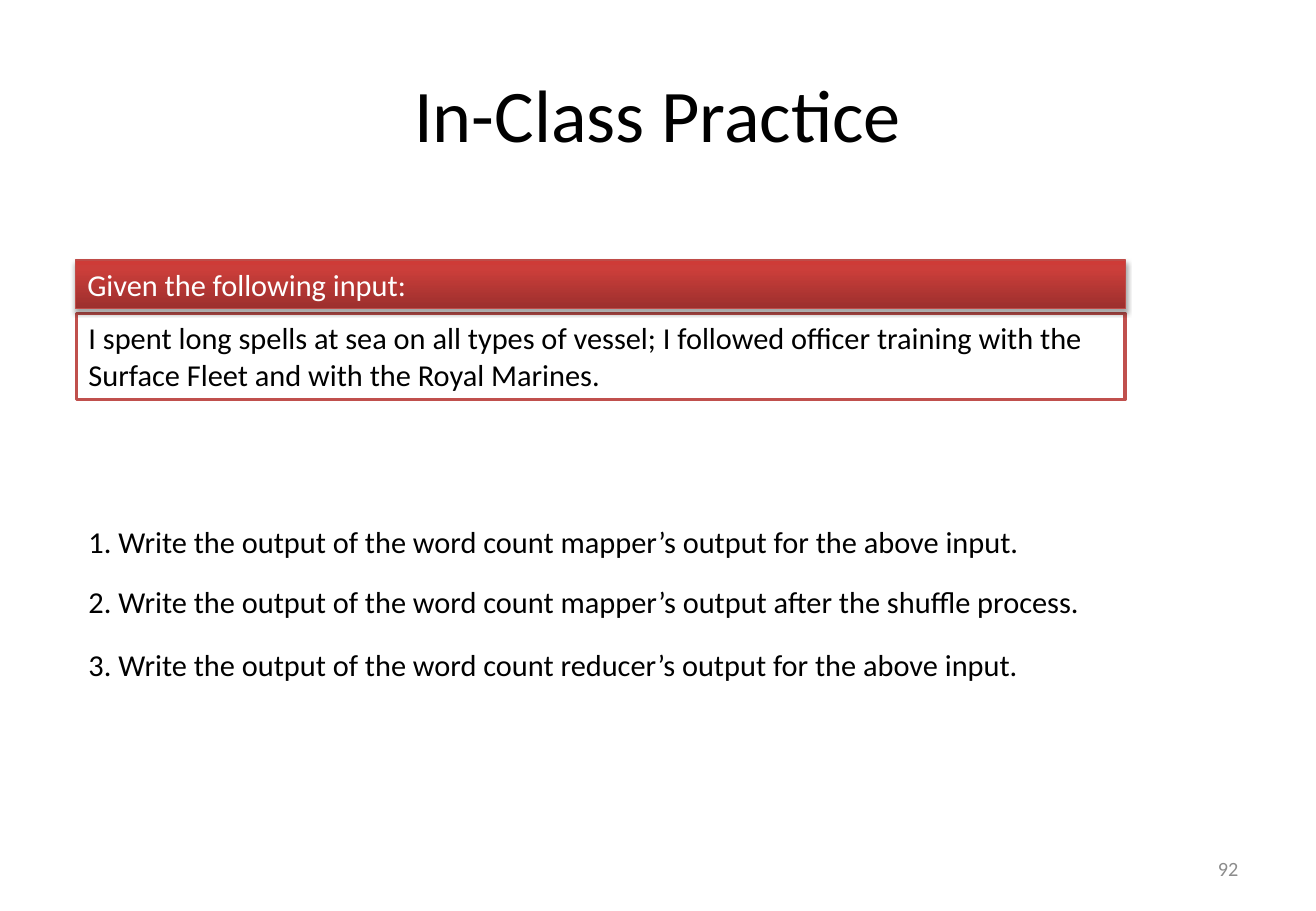
"""Build the in-class practice slide on word count."""
from copy import deepcopy

from lxml import etree
from pptx import Presentation
from pptx.dml.color import RGBColor
from pptx.enum import shapes, text
from pptx.oxml import ns
from pptx.util import Inches, Pt

COLOURS = {
    "ink": "000000", "paper": "FFFFFF", "number": "8C8C8C",
    "frame": "C0504D", "banner_line": "BF4C48",
    "banner_low": "9C2F2D", "banner_mid": "CB3E3A", "banner_top": "CE3B37",
}
QUESTIONS = [
    (4.26, "1. Write the output of the word count mapper’s output for the above input."),
    (4.75, "2. Write the output of the word count mapper’s output after the shuffle process."),
    (5.27, "3. Write the output of the word count reducer’s output for the above input."),
]


def colour(name):
    """Return the named colour."""
    return RGBColor.from_string(COLOURS[name])


def write(shape, words, size=18, ink="ink", align=text.PP_ALIGN.LEFT,
          anchor=text.MSO_ANCHOR.TOP, wrap=True):
    """Put formatted words into a shape."""
    frame = shape.text_frame
    frame.auto_size = text.MSO_AUTO_SIZE.NONE
    frame.word_wrap = wrap
    frame.vertical_anchor = anchor
    para = frame.paragraphs[0]
    para.alignment = align
    span = para.add_run()
    span.text = words
    span.font.size = Pt(size)
    span.font.name = "Calibri"
    span.font.color.rgb = colour(ink)


def add_label(page, left, top, width, height, words, **style):
    """Add a text box."""
    box = page.shapes.add_textbox(Inches(left), Inches(top), Inches(width), Inches(height))
    write(box, words, **style)


def add_panel(page, left, top, width, height, words, line, weight, **style):
    """Add an outlined rectangle with a paper fill and return it."""
    panel = page.shapes.add_shape(shapes.MSO_SHAPE.RECTANGLE, Inches(left), Inches(top),
                                  Inches(width), Inches(height))
    panel.shadow.inherit = False
    panel.fill.solid()
    panel.fill.fore_color.rgb = colour("paper")
    panel.line.color.rgb = colour(line)
    panel.line.width = Pt(weight)
    write(panel, words, **style)
    return panel


def shade(shape, stops, angle):
    """Fill a shape with a linear gradient of (position, colour) stops."""
    shape.fill.gradient()
    shape.fill.gradient_angle = angle
    stop_list = shape.element.spPr.find(".//" + ns.qn("a:gsLst"))
    while len(stop_list) < len(stops):
        stop_list.append(deepcopy(stop_list[0]))
    for stop, (position, name) in zip(shape.fill.gradient_stops, stops):
        stop.position = position
        stop.color.rgb = colour(name)


def cast_shadow(shape, blur, distance, opacity):
    """Give a shape a soft shadow straight below it."""
    effects = shape.element.spPr.find(ns.qn("a:effectLst"))
    shadow = etree.SubElement(effects, ns.qn("a:outerShdw"), blurRad=str(Pt(blur)),
                              dist=str(Pt(distance)), dir="5400000", rotWithShape="0")
    tone = etree.SubElement(shadow, ns.qn("a:srgbClr"), val=COLOURS["ink"])
    etree.SubElement(tone, ns.qn("a:alpha"), val=str(opacity * 1000))


def add_title(page, words):
    """Place and fill the title placeholder."""
    title = page.shapes.title
    title.left, title.top = Inches(0.54), Inches(0.3)
    title.width, title.height = Inches(9.75), Inches(1.25)
    write(title, words, size=44, align=text.PP_ALIGN.CENTER, anchor=text.MSO_ANCHOR.MIDDLE)


def main():
    """Build and save the deck."""
    deck = Presentation()
    deck.slide_width, deck.slide_height = Inches(10.83), Inches(7.5)
    page = deck.slides.add_slide(deck.slide_layouts[5])
    add_title(page, "In-Class Practice")
    add_panel(page, 0.63, 2.58, 8.63, 0.71,
              "I spent long spells at sea on all types of vessel; I followed officer "
              "training with the Surface Fleet and with the Royal Marines.",
              line="frame", weight=2)
    banner = add_panel(page, 0.62, 2.14, 8.64, 0.4, "Given the following input:",
                       line="banner_line", weight=0.75, ink="paper")
    shade(banner, [(0, "banner_low"), (0.8, "banner_mid"), (1, "banner_top")], angle=90)
    cast_shadow(banner, blur=3.1, distance=1.8, opacity=35)
    for top, question in QUESTIONS:
        add_label(page, 0.63, top, 8.47, 0.4, question, wrap=False)
    add_label(page, 7.76, 6.95, 2.53, 0.4, "92", size=12, ink="number",
              align=text.PP_ALIGN.RIGHT, anchor=text.MSO_ANCHOR.MIDDLE)
    deck.save("out.pptx")


if __name__ == "__main__":
    main()
